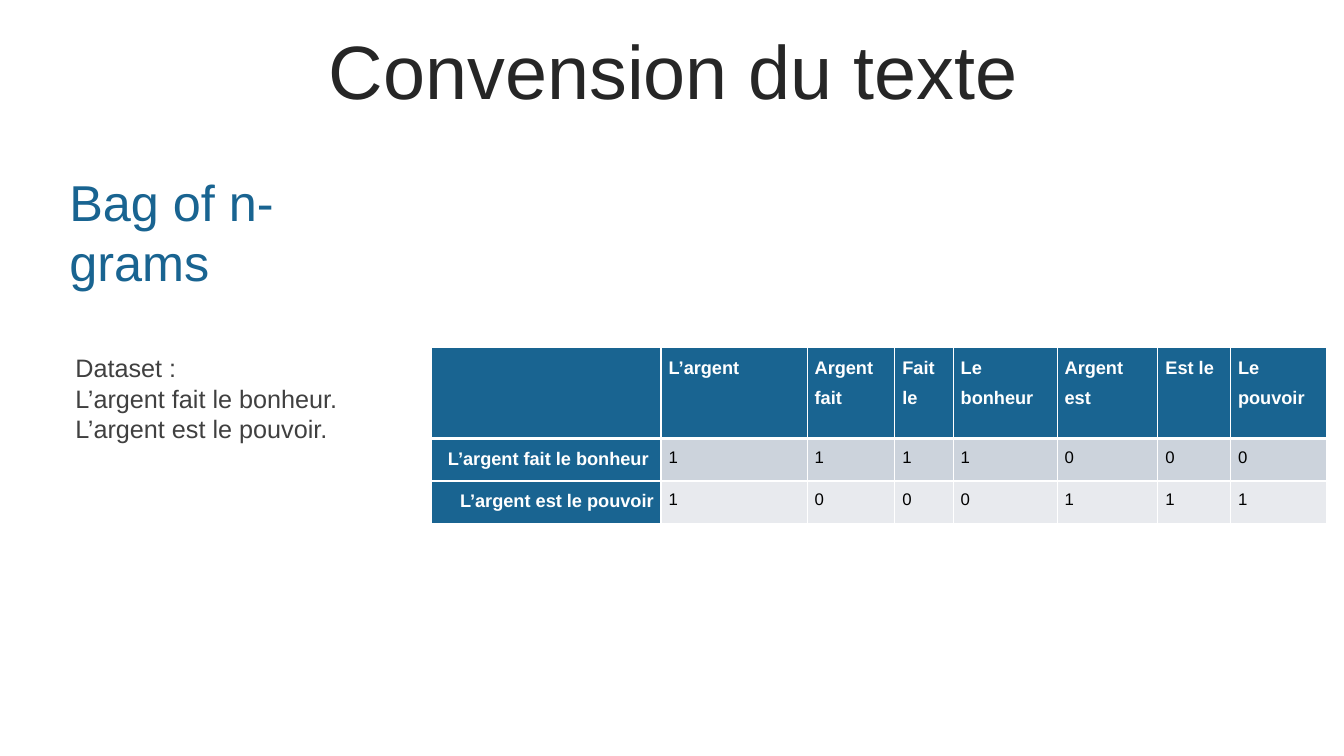
import pptx
import pptx.dml.color
import pptx.enum.text
import pptx.oxml
import pptx.oxml.ns
import pptx.util
from pptx.util import Cm

COLORS = {
    "title": "262626",
    "accent": "196491",
    "body": "404040",
    "white": "FFFFFF",
    "black": "000000",
    "band_dark": "CCD3DC",
    "band_light": "E8EAEE",
}
ALIGN = pptx.enum.text.PP_ALIGN
ANCHOR = pptx.enum.text.MSO_ANCHOR

NGRAMS = ["L’argent", "Argent fait", "Fait le", "Le bonheur",
          "Argent est", "Est le", "Le pouvoir"]
COUNTS = {
    "L’argent fait le bonheur ": [1, 1, 1, 1, 0, 0, 0],
    "L’argent est le pouvoir": [1, 0, 0, 0, 1, 1, 1],
}
COL_WIDTHS = [5.79, 3.68, 2.21, 1.47, 2.62, 2.54, 1.83, 2.41]
ROW_HEIGHTS = [2.29, 1.07, 1.07]


def rgb(name):
    return pptx.dml.color.RGBColor.from_string(COLORS[name])


def write(tf, text, size, color, bold=False, align=ALIGN.LEFT, spacing=None,
          font="Arial"):
    """Fill a text frame, one paragraph per line of text."""
    for i, line in enumerate(text.split("\n")):
        p = tf.paragraphs[0] if i == 0 else tf.add_paragraph()
        p.alignment = align
        p.line_spacing = spacing
        r = p.add_run()
        r.text = line
        r.font.name = font
        r.font.size = pptx.util.Pt(size)
        r.font.bold = bold
        r.font.color.rgb = rgb(color)


class Deck:
    def __init__(self, width, height):
        self.prs = pptx.Presentation()
        self.prs.slide_width, self.prs.slide_height = Cm(width), Cm(height)
        self.s = self.prs.slides.add_slide(self.prs.slide_layouts[5])

    def title(self, text, left, top, width, height):
        sp = self.s.shapes.title
        sp.left, sp.top = Cm(left), Cm(top)
        sp.width, sp.height = Cm(width), Cm(height)
        tf = sp.text_frame
        tf.auto_size = pptx.enum.text.MSO_AUTO_SIZE.NONE
        tf.vertical_anchor = ANCHOR.MIDDLE
        write(tf, text, 54, "title", align=ALIGN.CENTER, spacing=0.9)

    def text(self, text, left, top, width, height, size, color,
             anchor=ANCHOR.TOP, insets=(0.25, 0.13)):
        sp = self.s.shapes.add_textbox(Cm(left), Cm(top), Cm(width), Cm(height))
        tf = sp.text_frame
        tf.word_wrap = True
        tf.vertical_anchor = anchor
        tf.margin_left = tf.margin_right = Cm(insets[0])
        tf.margin_top = tf.margin_bottom = Cm(insets[1])
        write(tf, text, size, color)

    def borders(self, cell, top, bottom):
        """Give a cell white edges; top and bottom widths are in points."""
        tc_pr = cell._tc.get_or_add_tcPr()
        for side, width in zip("LRTB", (1, 1, top, bottom)):
            tc_pr.append(pptx.oxml.parse_xml(
                f'<a:ln{side} {pptx.oxml.ns.nsdecls("a")} w="{width * 12700}">'
                f'<a:solidFill><a:srgbClr val="{COLORS["white"]}"/></a:solidFill>'
                f'</a:ln{side}>'))

    def cell(self, cell, value, row, col):
        heading = row == 0 or col == 0
        self.borders(cell, 3 if row == 1 else 1, 3 if row == 0 else 1)
        band = "band_dark" if row % 2 else "band_light"
        cell.fill.solid()
        cell.fill.fore_color.rgb = rgb("accent" if heading else band)
        cell.margin_left = cell.margin_right = Cm(0.19)
        cell.margin_top = cell.margin_bottom = 0
        if value != "":
            write(cell.text_frame, str(value),
                  size=13 if heading else 12,
                  color="white" if heading else "black", bold=heading,
                  align=ALIGN.RIGHT if col == 0 else ALIGN.JUSTIFY,
                  spacing=1.5)

    def table(self, rows, left, top, widths, heights):
        table = self.s.shapes.add_table(
            len(heights), len(widths), Cm(left), Cm(top),
            Cm(sum(widths)), Cm(sum(heights))).table
        table.first_row = table.horz_banding = False
        for column, width in zip(table.columns, widths):
            column.width = Cm(width)
        for row, height in zip(table.rows, heights):
            row.height = Cm(height)
        for i, values in enumerate(rows):
            for j, value in enumerate(values):
                self.cell(table.cell(i, j), value, i, j)


def main():
    deck = Deck(33.87, 19.05)
    deck.title("Convension du texte", 0.89, 0.89, 32.16, 2.01)
    deck.text("Bag of n-grams", 1.65, 4.29, 8.48, 3.07, 36, "accent",
              anchor=ANCHOR.MIDDLE, insets=(0.1, 0))
    deck.text("Dataset :\nL’argent fait le bonheur. L’argent est le pouvoir.",
              1.65, 8.76, 9.22, 2.57, 18, "body")
    rows = [["", *NGRAMS]] + [[name, *counts] for name, counts in COUNTS.items()]
    deck.table(rows, 10.87, 8.76, COL_WIDTHS, ROW_HEIGHTS)
    deck.prs.save("out.pptx")


if __name__ == "__main__":
    main()
